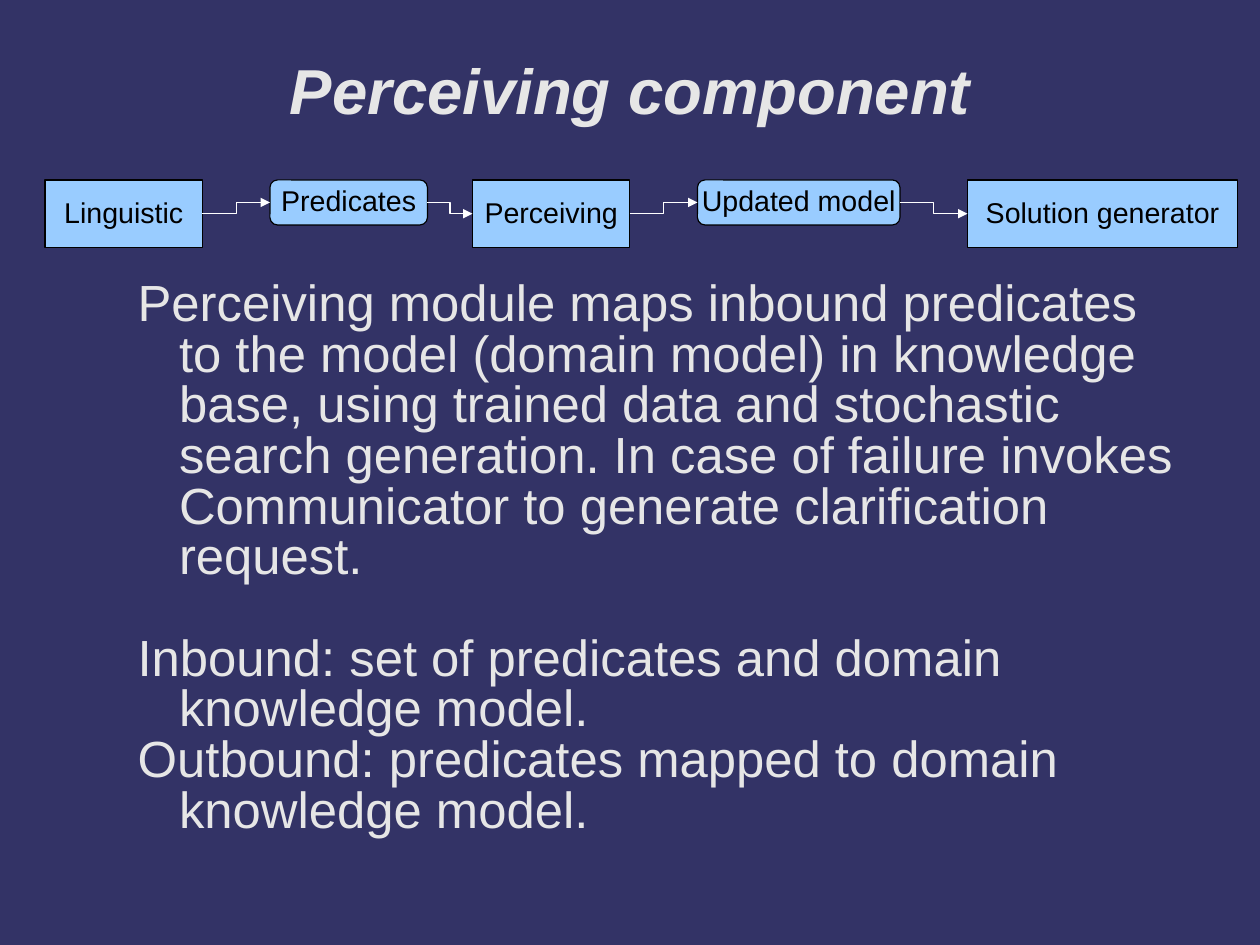
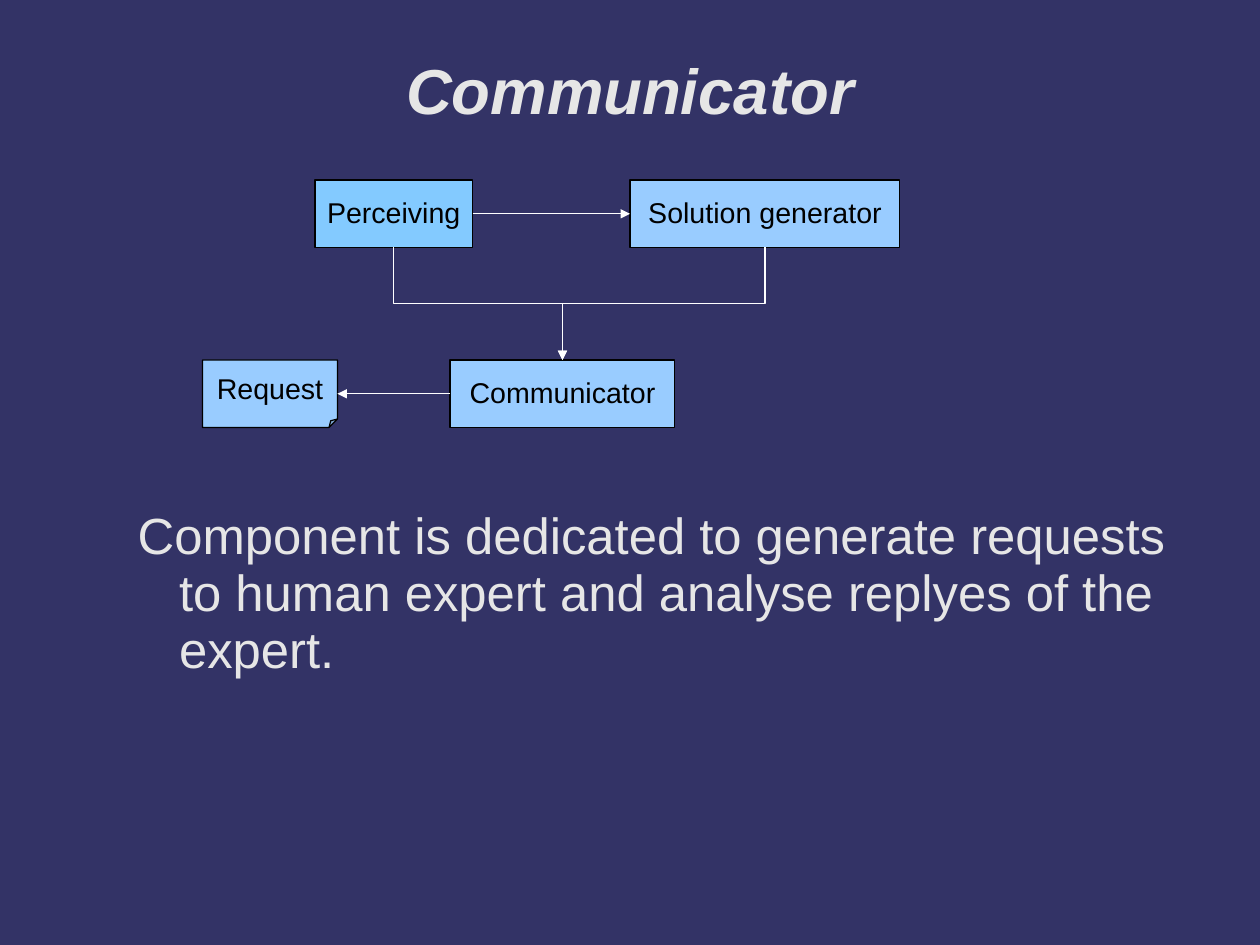
"""Builds two slides on the perceiving component and the communicator."""
from lxml import etree
from pptx import Presentation
from pptx import util as u
from pptx.dml.color import RGBColor
from pptx.enum import shapes, text
from pptx.oxml.ns import qn

COLORS = {
    "background": "333366",
    "text": "E6E6E6",
    "box": "99CCFF",
    "accent": "83CAFF",
    "box_text": "000000",
    "outline": "000000",
    "arrow": "FFFFFF",
}
FONT = "Arial"
TOP, LEFT, BOTTOM, RIGHT = range(4)
RECT = shapes.MSO_SHAPE.RECTANGLE
ROUNDED = shapes.MSO_SHAPE.ROUNDED_RECTANGLE
NOTE = shapes.MSO_SHAPE.FOLDED_CORNER
STRAIGHT = shapes.MSO_CONNECTOR.STRAIGHT
ELBOW = shapes.MSO_CONNECTOR.ELBOW


def rgb(name):
    return RGBColor.from_string(COLORS[name])


class Deck:
    def __init__(self):
        self.prs = Presentation()
        self.prs.slide_width, self.prs.slide_height = u.Cm(28), u.Cm(21)
        self.s = None

    def slide(self, title):
        self.s = self.prs.slides.add_slide(self.prs.slide_layouts[6])
        fill = self.s.background.fill
        fill.solid()
        fill.fore_color.rgb = rgb("background")
        tf = self.frame(2.06, 0.46, 23.88, 3.23)
        tf.vertical_anchor = text.MSO_ANCHOR.MIDDLE
        p = tf.paragraphs[0]
        p.text = title
        p.alignment = text.PP_ALIGN.CENTER
        p.line_spacing = 0.93
        self.style(p, 40, "text", bold=True, italic=True)

    def frame(self, x, y, w, h):
        tf = self.s.shapes.add_textbox(u.Cm(x), u.Cm(y), u.Cm(w), u.Cm(h)).text_frame
        tf.word_wrap = True
        tf.margin_left = tf.margin_right = tf.margin_top = tf.margin_bottom = 0
        return tf

    def style(self, p, size, color, bold=False, italic=False):
        for r in p.runs:
            r.font.name, r.font.size = FONT, u.Pt(size)
            r.font.bold, r.font.italic = bold, italic
            r.font.color.rgb = rgb(color)

    def body(self, y, h, paragraphs, spacing):
        tf = self.frame(3.02, y, 23.52, h)
        tf.margin_top = u.Cm(0.08)
        tf.text = "\n".join(line for line, _ in paragraphs)
        for p, (_, before) in zip(tf.paragraphs, paragraphs):
            pPr = p._p.get_or_add_pPr()
            pPr.set("marL", str(u.Cm(0.96)))
            pPr.set("indent", str(u.Cm(-0.92)))
            p.line_spacing = spacing
            p.space_before = u.Pt(before)
            self.style(p, 32, "text")

    def box(self, label, x, y, w, h=1.5, kind=RECT, fill="box"):
        sp = self.s.shapes.add_shape(kind, u.Cm(x), u.Cm(y), u.Cm(w), u.Cm(h))
        sp.shadow.inherit = False
        sp.fill.solid()
        sp.fill.fore_color.rgb = rgb(fill)
        sp.line.color.rgb = rgb("outline")
        sp.line.width = u.Pt(0.75)
        tf = sp.text_frame
        tf.text = label
        tf.word_wrap = False
        tf.vertical_anchor = text.MSO_ANCHOR.MIDDLE
        p = tf.paragraphs[0]
        p.alignment = text.PP_ALIGN.CENTER
        p.line_spacing = 0.93
        self.style(p, 18, "box_text")
        return sp

    def note(self, label, x, y, w):
        sp = self.box(label, x, y, w, kind=NOTE)
        guides = sp._element.spPr.find(qn("a:prstGeom")).find(qn("a:avLst"))
        etree.SubElement(guides, qn("a:gd"), name="adj", fmla="val 12500")
        return sp

    def arrow(self, start, end, kind=STRAIGHT, begin_side=RIGHT, end_side=LEFT):
        c = self.s.shapes.add_connector(kind, 0, 0, 0, 0)
        c.begin_connect(start, begin_side)
        c.end_connect(end, end_side)
        if kind == ELBOW and begin_side == BOTTOM:
            self.turn_down(c)
        c.line.color.rgb = rgb("arrow")
        c.line.width = u.Pt(0.75)
        etree.SubElement(c.line._get_or_add_ln(), qn("a:tailEnd"), type="triangle")
        etree.SubElement(c._element.spPr, qn("a:effectLst"))

    def turn_down(self, c):
        rightward = c.end_x > c.begin_x
        across, down = c.width, c.height
        mid_x, mid_y = c.left + across // 2, c.top + down // 2
        c.left, c.top = mid_x - down // 2, mid_y - across // 2
        c.width, c.height = down, across
        xfrm = c._element.spPr.find(qn("a:xfrm"))
        xfrm.set("flipH", "1" if rightward else "0")
        xfrm.set("flipV", "0")
        xfrm.set("rot", str((270 if rightward else 90) * 60000))


def perceiving(deck):
    deck.slide("Perceiving component")
    deck.body(6.17, 13.92, [
        ("Perceiving module maps inbound predicates to the model (domain model) "
         "in knowledge base, using trained data and stochastic search generation. "
         "In case of failure invokes Communicator to generate clarification request.", 0),
        ("Inbound: set of predicates and domain knowledge model.", 32),
        ("Outbound: predicates mapped to domain knowledge model.", 0),
    ], 0.83)
    chain = [
        deck.box("Linguistic", 1, 4, 3.5),
        deck.box("Predicates", 6, 4, 3.5, 1, ROUNDED),
        deck.box("Perceiving", 10.5, 4, 3.5),
        deck.box("Updated model", 15.5, 4, 4.5, 1, ROUNDED),
        deck.box("Solution generator", 21.5, 4, 6),
    ]
    for start, end in zip(chain, chain[1:]):
        deck.arrow(start, end, ELBOW)


def communicator(deck):
    deck.slide("Communicator")
    deck.body(11.24, 7.96, [
        ("Component is dedicated to generate requests to human expert "
         "and analyse replyes of the expert.", 0),
    ], 0.93)
    source = deck.box("Perceiving", 7, 4, 3.5, fill="accent")
    solver = deck.box("Solution generator", 14, 4, 6)
    hub = deck.box("Communicator", 10, 8, 5)
    request = deck.note("Request", 4.5, 8, 3)
    deck.arrow(source, solver)
    for start in (solver, source):
        deck.arrow(start, hub, ELBOW, BOTTOM, TOP)
    deck.arrow(hub, request, begin_side=LEFT, end_side=RIGHT)


def main():
    deck = Deck()
    perceiving(deck)
    communicator(deck)
    deck.prs.save("out.pptx")


if __name__ == "__main__":
    main()
